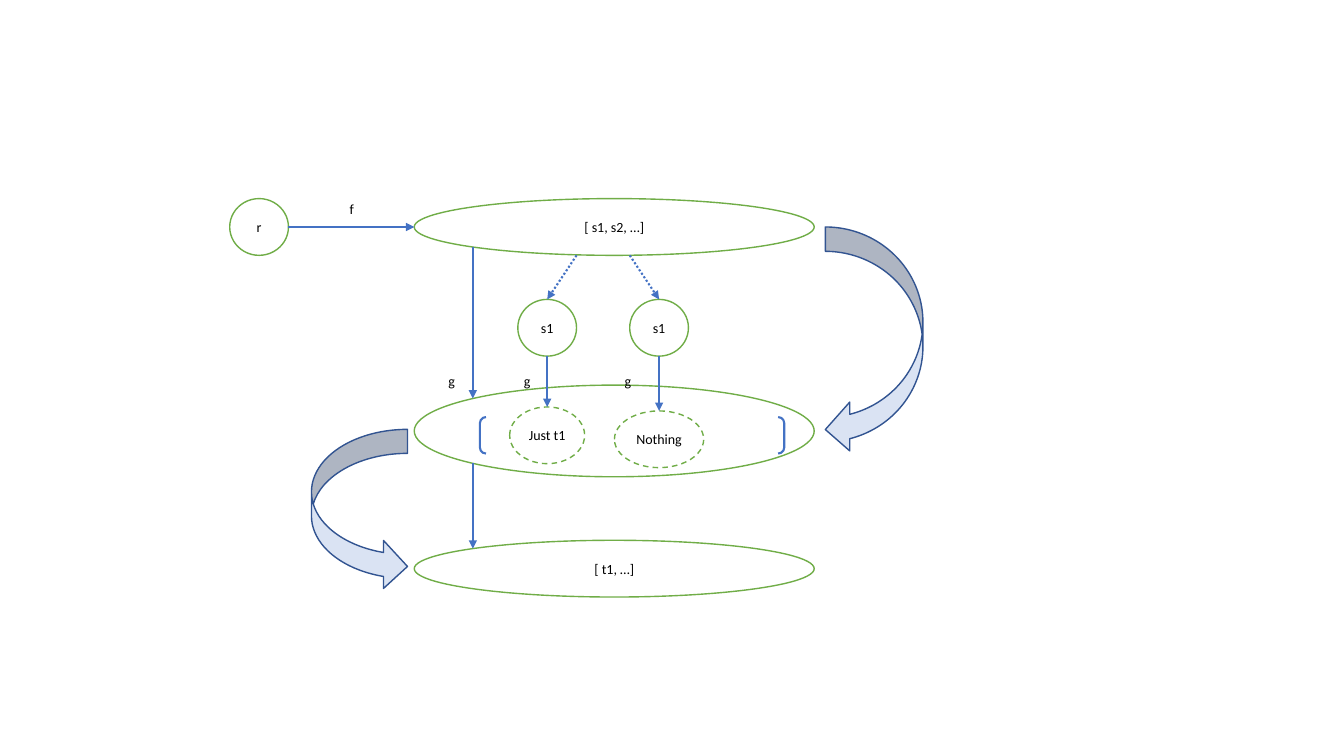
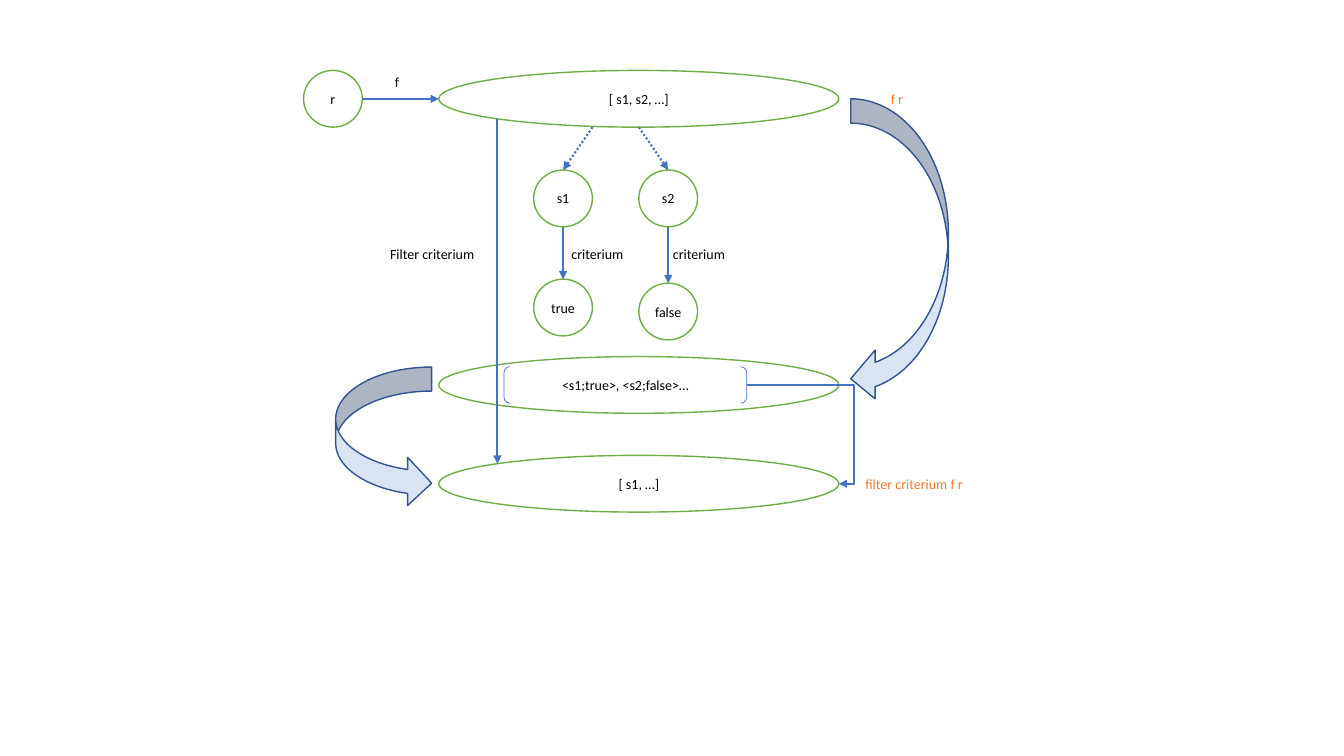
import math
from lxml import etree
from pptx import Presentation
from pptx import util as u
from pptx.dml.color import RGBColor
from pptx.enum import dml, shapes, text
from pptx.oxml.ns import qn

HUES = {"white": "FFFFFF", "ink": "000000", "green": "70AD47", "blue": "4472C4",
        "pale": "DAE3F3", "navy": "325491", "orange": "ED7D31"}
FONT, SIZE = "Calibri", 10
LIST, NODE = (10.08, 1.43), (1.48, 1.43)  # width, height in cm
LABEL_H = 0.68
KIND = shapes.MSO_SHAPE
DASH = dml.MSO_LINE

# ovals: name: (words, centre x, centre y, size, dashed)
# bracket: (words, centre x, centre y, width, height, line points)
# links: (start, its side, end, its side); sides are -1, 0 or 1 in x and y
# curves: (shape, left, top, width, height)
# labels: (words, left, top, width, hue)
TOP, BOTTOM, LEFT, RIGHT = (0, -1), (0, 1), (-1, 0), (1, 0)
LOW, HIGH = (-1, 1), (-1, -1)
SLIDES = [
    {"ovals": {
        "band": ("", 15.48, 10.86, (10.08, 2.31), False),
        "r": ("r", 6.53, 5.72, NODE, False),
        "list": ("[ s1, s2, …]", 15.48, 5.72, LIST, False),
        "first": ("s1", 13.79, 8.26, NODE, False),
        "second": ("s1", 16.61, 8.26, NODE, False),
        "just": ("Just t1", 13.79, 10.97, (1.89, 1.43), True),
        "nothing": ("Nothing", 16.61, 11.07, (2.25, 1.43), True),
        "result": ("[ t1, …]", 15.48, 14.33, LIST, False)},
     "bracket": ("", 15.93, 10.97, 7.67, 0.92, 1.5),
     "links": [("r", RIGHT, "list", LEFT),
               ("first", BOTTOM, "just", TOP),
               ("second", BOTTOM, "nothing", TOP),
               ("list", LOW, "band", HIGH),
               ("band", LOW, "result", HIGH)],
     "curves": [(KIND.CURVED_LEFT_ARROW, 20.8, 5.72, 2.46, 5.72),
                (KIND.CURVED_RIGHT_ARROW, 7.85, 10.82, 2.42, 4.06)],
     "labels": [("f", 8.56, 4.93, 0.61, "ink"),
                ("g", 12.95, 9.25, 0.69, "ink"),
                ("g", 15.49, 9.25, 0.69, "ink"),
                ("g", 11.05, 9.25, 0.69, "ink")],
     "elbow": False},
    {"ovals": {
        "band": ("", 16.1, 9.7, LIST, False),
        "r": ("r", 8.39, 2.49, NODE, False),
        "list": ("[ s1, s2, …]", 16.1, 2.49, LIST, False),
        "first": ("s1", 14.19, 5, NODE, False),
        "second": ("s2", 16.84, 5, NODE, False),
        "true": ("true", 14.19, 7.75, NODE, False),
        "false": ("false", 16.84, 7.85, NODE, False),
        "result": ("[ s1, …]", 16.1, 12.19, LIST, False)},
     "bracket": ("<s1;true>, <s2;false>…", 15.76, 9.7, 6.12, 0.92, 0.5),
     "links": [("r", RIGHT, "list", LEFT),
               ("first", BOTTOM, "true", TOP),
               ("second", BOTTOM, "false", TOP),
               ("list", LOW, "result", HIGH)],
     "curves": [(KIND.CURVED_LEFT_ARROW, 21.44, 2.49, 2.46, 7.67),
                (KIND.CURVED_RIGHT_ARROW, 8.46, 9.25, 2.42, 3.53)],
     "labels": [("f", 9.7, 1.73, 0.61, "ink"),
                ("criterium", 14.15, 6.05, 1.85, "ink"),
                ("criterium", 16.71, 6.05, 1.85, "ink"),
                ("Filter criterium", 9.58, 6.05, 2.67, "ink"),
                ("filter criterium f r", 21.56, 11.86, 3, "orange"),
                ("f r", 22.2, 2.16, 0.81, "orange")],
     "elbow": True},
]


def hue(name):
    """Return a named colour."""
    return RGBColor.from_string(HUES[name])


def cms(*nums):
    """Turn numbers into lengths."""
    return [u.Cm(n) for n in nums]


def write(frame, words, tint="ink"):
    """Add one run in the shared font."""
    run = frame.paragraphs[0].add_run()
    run.text = words
    run.font.name, run.font.size = FONT, u.Pt(SIZE)
    run.font.color.rgb = hue(tint)


def draw(slide, kind, box, fill, line, width=1, words=""):
    """Add a preset shape with optional centred words."""
    shape = slide.shapes.add_shape(kind, *cms(*box))
    shape.shadow.inherit = False
    if fill:
        shape.fill.solid()
        shape.fill.fore_color.rgb = hue(fill)
    else:
        shape.fill.background()
    shape.line.color.rgb = hue(line)
    shape.line.width = u.Pt(width)
    if words:
        frame = shape.text_frame
        frame.margin_left = frame.margin_right = u.Cm(0.1)
        frame.vertical_anchor = text.MSO_ANCHOR.MIDDLE
        frame.paragraphs[0].alignment = text.PP_ALIGN.CENTER
        write(frame, words)
    return shape


def centred(x, y, wide, high):
    """Return the box around a centre."""
    return x - wide / 2, y - high / 2, wide, high


def site(oval, side):
    """Return the point of an oval's edge on the given side."""
    _, x, y, (wide, high), _ = oval
    norm = math.hypot(*side)
    return x + side[0] / norm * wide / 2, y + side[1] / norm * high / 2


def arrow(slide, start, end, kind=shapes.MSO_CONNECTOR.STRAIGHT, dash=None):
    """Add a blue connector with a triangle at its end."""
    link = slide.shapes.add_connector(kind, *cms(*start, *end))
    link.line.color.rgb = hue("blue")
    link.line.width = u.Pt(1.5)
    if dash:
        link.line.dash_style = dash
    tip = etree.SubElement(link.line._get_or_add_ln(), qn("a:tailEnd"))
    tip.set("type", "triangle")
    etree.SubElement(link._element.spPr, qn("a:effectLst"))
    return link


def split(slide, ovals):
    """Point dotted arrows from the list to its two items."""
    _, _, y, (_, high), _ = ovals["list"]
    for name, inner in (("first", RIGHT), ("second", LEFT)):
        start = site(ovals[name], inner)[0], y + high / 2
        arrow(slide, start, site(ovals[name], TOP), dash=DASH.ROUND_DOT)


def bend(slide, data):
    """Lead an elbow arrow from the bracket round to the result."""
    _, x, y, wide, _, _ = data["bracket"]
    end = site(data["ovals"]["result"], RIGHT)
    link = arrow(slide, (x + wide / 2, y), end, shapes.MSO_CONNECTOR.ELBOW)
    geom = link._element.spPr.find(qn("a:prstGeom"))
    guides = geom.find(qn("a:avLst"))
    if guides is None:
        guides = etree.SubElement(geom, qn("a:avLst"))
    guide = etree.SubElement(guides, qn("a:gd"))
    guide.set("name", "adj1")
    guide.set("fmla", "val 116700")


def label(slide, words, x, y, wide, tint):
    """Add a small unwrapped caption."""
    box = slide.shapes.add_textbox(*cms(x, y, wide, LABEL_H))
    box.text_frame.word_wrap = False
    box.text_frame.auto_size = text.MSO_AUTO_SIZE.SHAPE_TO_FIT_TEXT
    write(box.text_frame, words, tint)


def build(slide, data):
    """Draw one diagram."""
    ovals = data["ovals"]
    for words, x, y, size, dashed in ovals.values():
        oval = draw(slide, KIND.OVAL, centred(x, y, *size), "white", "green",
                    words=words)
        if dashed:
            oval.line.dash_style = DASH.DASH
    words, *box, width = data["bracket"]
    draw(slide, KIND.DOUBLE_BRACKET, centred(*box), None, "blue", width, words)
    split(slide, ovals)
    for start, out, end, into in data["links"]:
        arrow(slide, site(ovals[start], out), site(ovals[end], into))
    for kind, *box in data["curves"]:
        draw(slide, kind, box, "pale", "navy")
    for item in data["labels"]:
        label(slide, *item)
    if data["elbow"]:
        bend(slide, data)


deck = Presentation()
deck.slide_width, deck.slide_height = cms(33.87, 19.05)
for data in SLIDES:
    build(deck.slides.add_slide(deck.slide_layouts[6]), data)
deck.save("out.pptx")
